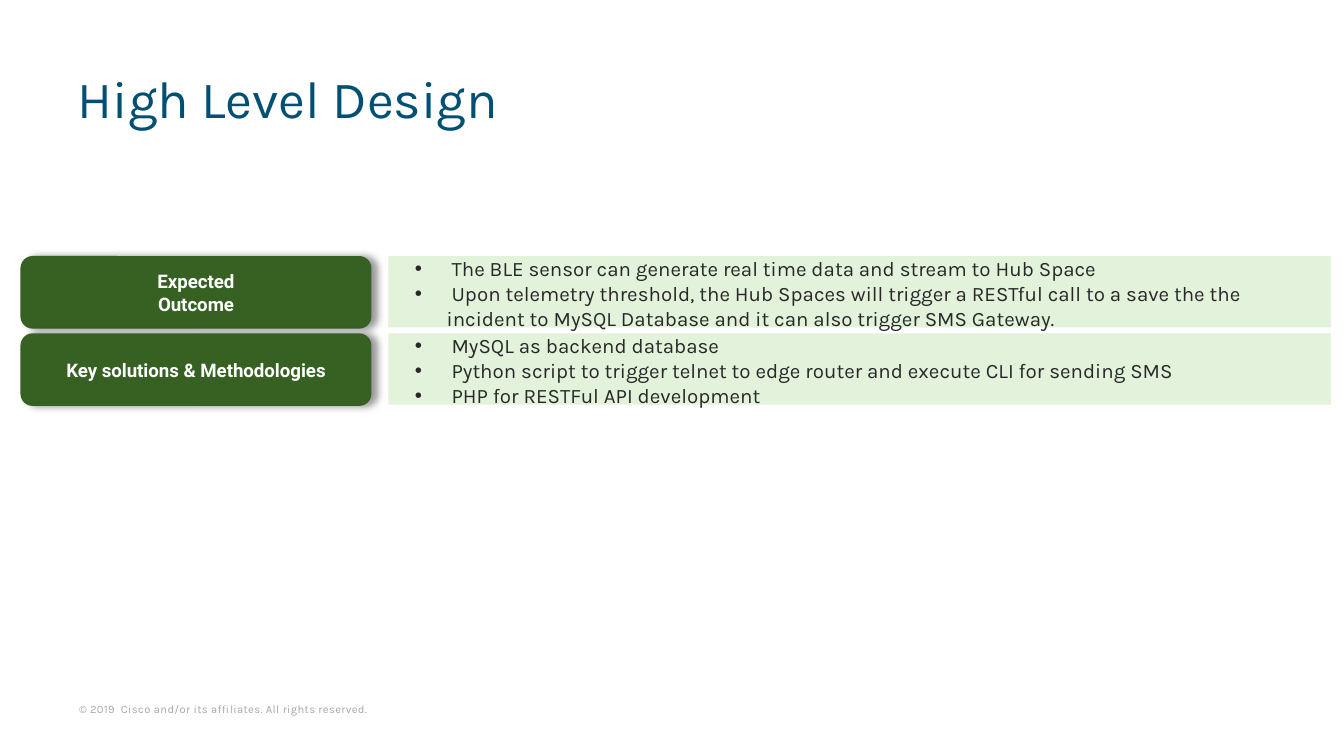
from lxml import etree
from pptx import Presentation
from pptx.dml.color import RGBColor
from pptx.enum.shapes import MSO_SHAPE
from pptx.enum.text import MSO_ANCHOR, PP_ALIGN
from pptx.oxml.ns import qn
from pptx.util import Pt

ROUNDED = MSO_SHAPE.ROUNDED_RECTANGLE
RECTANGLE = MSO_SHAPE.RECTANGLE
MIDDLE, TOP, BOTTOM = MSO_ANCHOR.MIDDLE, MSO_ANCHOR.TOP, MSO_ANCHOR.BOTTOM
CENTER, LEFT = PP_ALIGN.CENTER, PP_ALIGN.LEFT

COLORS = {
    "title": "005073",
    "label": "366123",
    "panel": "E2F2DB",
    "body": "282828",
    "footer": "A6A6A6",
    "white": "FFFFFF",
    "shadow": "000000",
}

ROWS = [
    (["Expected", "Outcome"],
     [" The BLE sensor can generate real time data and stream to Hub Space",
      " Upon telemetry threshold, the Hub Spaces will trigger a RESTful call to a save the the "
      "incident to MySQL Database and it can also trigger SMS Gateway."]),
    (["Key solutions & Methodologies"],
     [" MySQL as backend database",
      " Python script to trigger telnet to edge router and execute CLI for sending SMS",
      " PHP for RESTFul API development"]),
]
ROW_TOP, ROW_PITCH = 137.2, 41.4


def color(name):
    return RGBColor.from_string(COLORS[name])


def add_run(paragraph, text, font, size, color_name, bold=False):
    run = paragraph.add_run()
    run.text = text
    run.font.name = font
    run.font.size = Pt(size)
    run.font.bold = bold
    run.font.color.rgb = color(color_name)
    return run


def set_frame(text_frame, anchor, horizontal=7.2, vertical=3.6):
    text_frame.word_wrap = True
    text_frame.vertical_anchor = anchor
    text_frame.margin_left = text_frame.margin_right = Pt(horizontal)
    text_frame.margin_top = text_frame.margin_bottom = Pt(vertical)


def paragraphs_for(text_frame, texts):
    """Pair each text with its own paragraph."""
    for index, text in enumerate(texts):
        yield (text_frame.add_paragraph() if index else text_frame.paragraphs[0]), text


def add_block(slide, kind, box, fill):
    shape = slide.shapes.add_shape(kind, *map(Pt, box))
    shape.shadow.inherit = False
    shape.fill.solid()
    shape.fill.fore_color.rgb = color(fill)
    shape.line.fill.background()
    return shape


def add_drop_shadow(shape):
    effects = shape._element.spPr.find(qn("a:effectLst"))
    shadow = etree.SubElement(effects, qn("a:outerShdw"), blurRad=str(Pt(4)),
                              dist=str(Pt(3)), dir="0", algn="l", rotWithShape="0")
    shade = etree.SubElement(shadow, qn("a:srgbClr"), val=COLORS["shadow"])
    etree.SubElement(shade, qn("a:alpha"), val="40000")


def add_bullet(paragraph, indent):
    properties = paragraph._p.get_or_add_pPr()
    properties.set("marL", str(Pt(indent)))
    properties.set("indent", str(-Pt(indent)))
    etree.SubElement(properties, qn("a:buFont"), typeface="Arial")
    etree.SubElement(properties, qn("a:buChar"), char="•")


def add_title(slide, box, text):
    title = slide.shapes.title
    title.left, title.top, title.width, title.height = map(Pt, box)
    set_frame(title.text_frame, MIDDLE)
    paragraph = title.text_frame.paragraphs[0]
    paragraph.alignment = LEFT
    paragraph.line_spacing = 0.8
    add_run(paragraph, text, "Karla", 28, "title")


def add_row(slide, box, label_lines, bullets):
    left, top, width, height = box
    label_width, panel_offset = 188, 197

    # Label
    label = add_block(slide, ROUNDED, (left, top, label_width, height), "label")
    add_drop_shadow(label)
    set_frame(label.text_frame, MIDDLE)
    for paragraph, line in paragraphs_for(label.text_frame, label_lines):
        paragraph.alignment = CENTER
        add_run(paragraph, line, "Roboto", 10, "white", bold=True)

    # Panel with its bullet list
    panel_left, panel_width = left + panel_offset, width - panel_offset
    add_block(slide, RECTANGLE, (panel_left, top, panel_width, height - 0.7), "panel")
    list_box = (panel_left + 7.2, top - 3.5, panel_width - 14.4, height + 7)
    text_frame = slide.shapes.add_textbox(*map(Pt, list_box)).text_frame
    set_frame(text_frame, TOP)
    for paragraph, text in paragraphs_for(text_frame, bullets):
        add_bullet(paragraph, 17)
        add_run(paragraph, text, "Karla", 11, "body")


def add_footer(slide, box, text):
    text_frame = slide.shapes.add_textbox(*map(Pt, box)).text_frame
    set_frame(text_frame, BOTTOM, 5, 2.2)
    run = add_run(text_frame.paragraphs[0], text, "Karla", 6, "footer")
    run.font._element.set("spc", "20")


def main():
    presentation = Presentation()
    presentation.slide_width, presentation.slide_height = Pt(720), Pt(405)
    slide = presentation.slides.add_slide(presentation.slide_layouts[5])

    add_footer(slide, (37.4, 373.3, 268, 12.2),
               "© 2019  Cisco and/or its affiliates. All rights reserved.")
    add_title(slide, (34.4, 26.6, 657.4, 57.6), "High Level Design")
    for index, (label_lines, bullets) in enumerate(ROWS):
        box = (11, ROW_TOP + index * ROW_PITCH, 702, 38.9)
        add_row(slide, box, label_lines, bullets)

    presentation.save("out.pptx")


if __name__ == "__main__":
    main()
